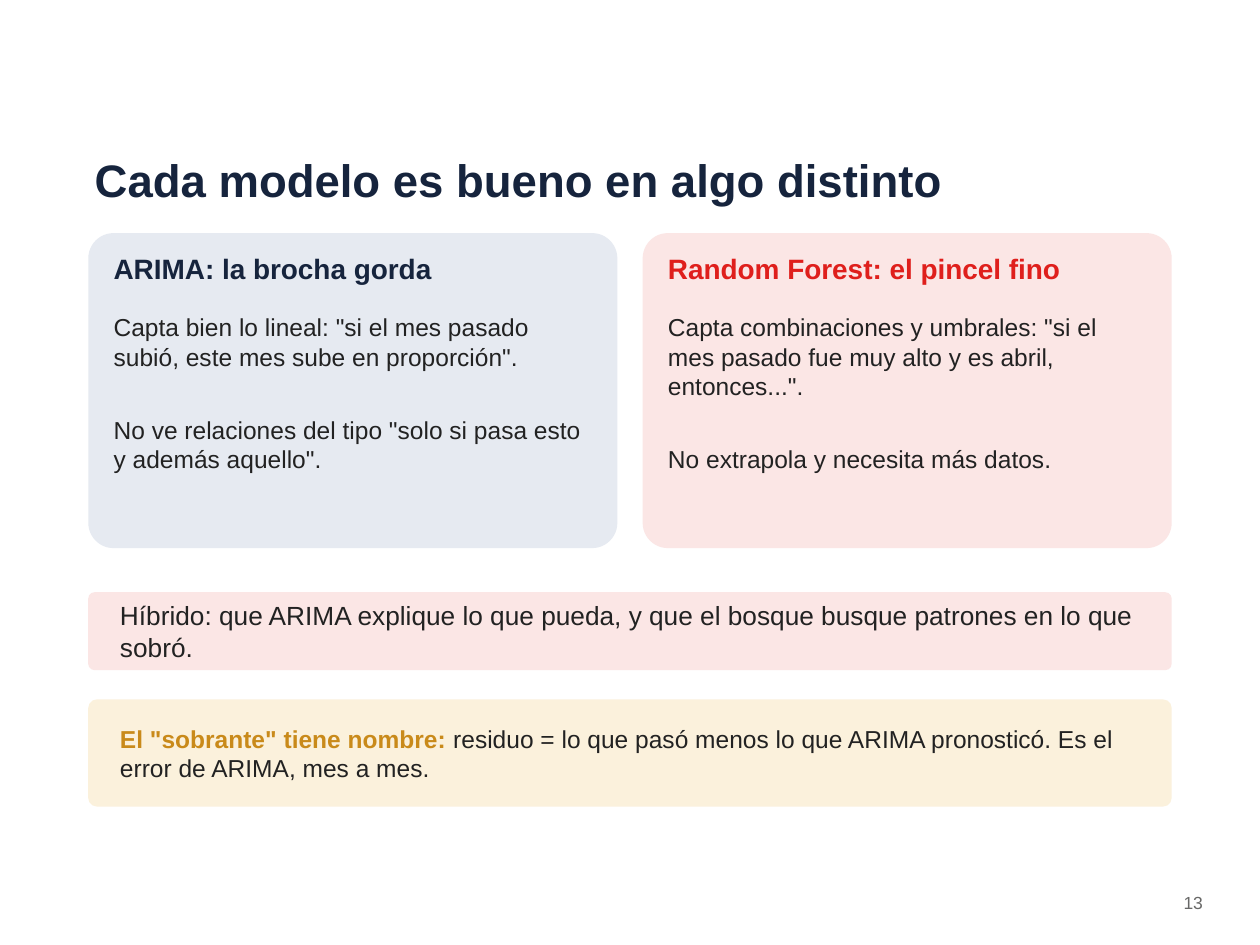
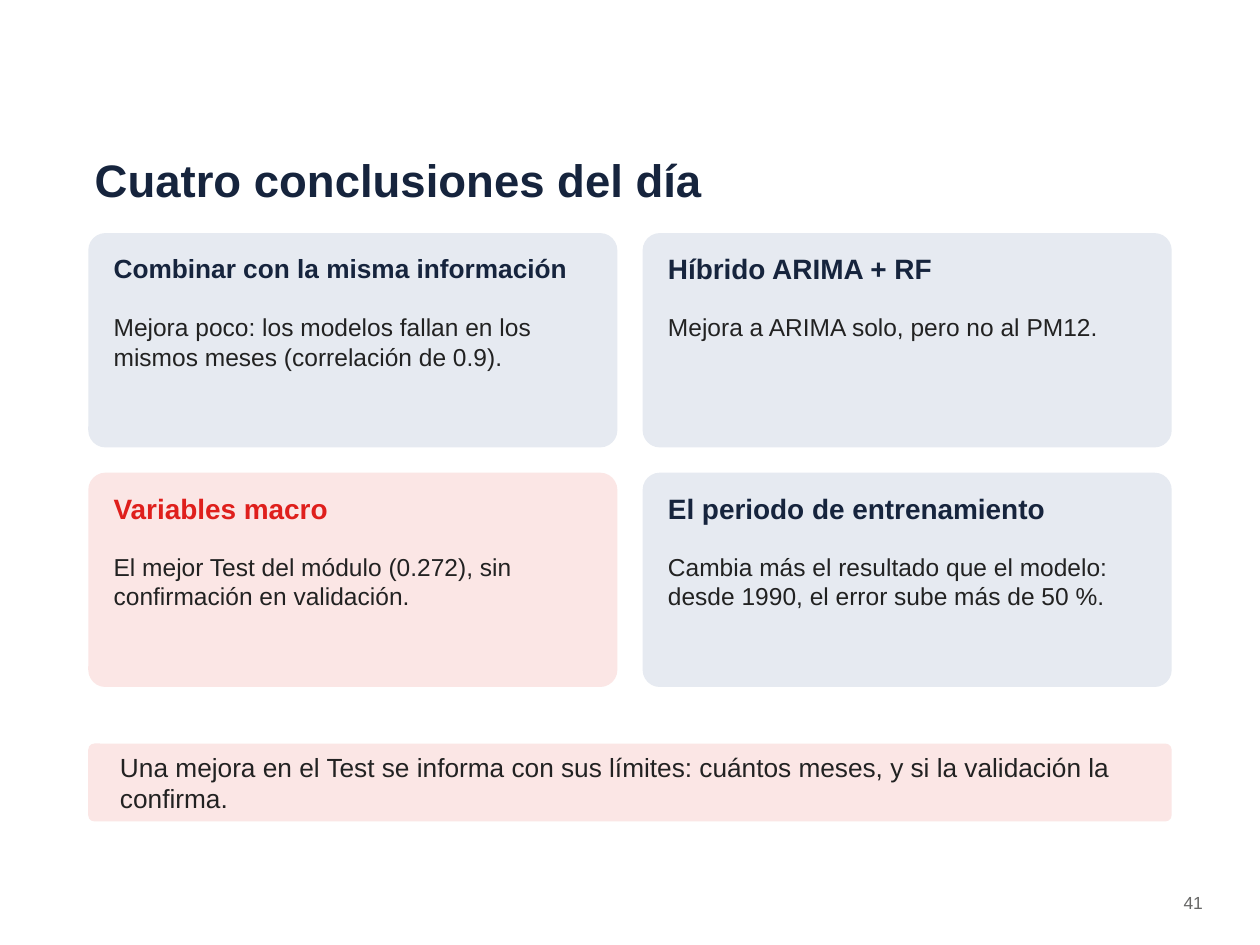
from pptx import Presentation
from pptx.dml.color import RGBColor
from pptx.enum.shapes import MSO_SHAPE
from pptx.enum.text import MSO_ANCHOR, MSO_AUTO_SIZE, PP_ALIGN
from pptx.util import Cm, Pt

FONT = "Arial"
NAVY, RED, GOLD, INK, GREY = "16243D", "DF1F1C", "C98A1A", "222222", "686867"
MIST, ROSE, CREAM = "E6EAF1", "FBE6E5", "FBF1DC"
COOL, WARM = (MIST, NAVY), (ROSE, RED)

SLIDES = [
    {
        "title": "Cada modelo es bueno en algo distinto",
        "page": "13",
        "tall": 6.35,
        "cards": [
            ("ARIMA: la brocha gorda", 16, COOL, [
                'Capta bien lo lineal: "si el mes pasado subió, este mes sube en proporción".',
                'No ve relaciones del tipo "solo si pasa esto y además aquello".',
            ]),
            ("Random Forest: el pincel fino", 16, WARM, [
                'Capta combinaciones y umbrales: "si el mes pasado fue muy alto y es abril, entonces...".',
                "No extrapola y necesita más datos.",
            ]),
        ],
        "bars": [
            (11.94, 1.57, ROSE, 15, "",
             "Híbrido: que ARIMA explique lo que pueda, y que el bosque busque patrones en lo que sobró."),
            (14.1, 2.16, CREAM, 14, 'El "sobrante" tiene nombre: ',
             "residuo = lo que pasó menos lo que ARIMA pronosticó. Es el error de ARIMA, mes a mes."),
        ],
    },
    {
        "title": "Cuatro conclusiones del día",
        "page": "41",
        "tall": 4.32,
        "cards": [
            ("Combinar con la misma información", 15, COOL, [
                "Mejora poco: los modelos fallan en los mismos meses (correlación de 0.9).",
            ]),
            ("Híbrido ARIMA + RF", 16, COOL, [
                "Mejora a ARIMA solo, pero no al PM12.",
            ]),
            ("Variables macro", 16, WARM, [
                "El mejor Test del módulo (0.272), sin confirmación en validación.",
            ]),
            ("El periodo de entrenamiento", 16, COOL, [
                "Cambia más el resultado que el modelo: desde 1990, el error sube más de 50 %.",
            ]),
        ],
        "bars": [
            (14.99, 1.57, ROSE, 15, "",
             "Una mejora en el Test se informa con sus límites: cuántos meses, y si la validación la confirma."),
        ],
    },
]

LEFT, WIDE, TOP, GAP = 1.78, 21.84, 4.7, 0.51
COLS = 2
CARD = (WIDE - GAP) / COLS
PAD, INSET = 0.38, 0.51


def color(code):
    return RGBColor.from_string(code)


def panel(slide, x, y, w, h, fill):
    shape = slide.shapes.add_shape(MSO_SHAPE.ROUNDED_RECTANGLE, Cm(x), Cm(y), Cm(w), Cm(h))
    shape.adjustments[0] = 0.08
    shape.shadow.inherit = False
    shape.fill.solid()
    shape.fill.fore_color.rgb = color(fill)
    shape.line.fill.background()


def label(slide, x, y, w, h, lines, size, ink, bold=False,
          anchor=MSO_ANCHOR.TOP, align=PP_ALIGN.LEFT, lead=""):
    frame = slide.shapes.add_textbox(Cm(x), Cm(y), Cm(w), Cm(h)).text_frame
    frame.word_wrap = True
    frame.auto_size = MSO_AUTO_SIZE.SHAPE_TO_FIT_TEXT
    frame.vertical_anchor = anchor
    frame.margin_left = frame.margin_right = Cm(0.13)
    frame.margin_top = frame.margin_bottom = Cm(0.08)
    for i, line in enumerate(lines):
        para = frame.add_paragraph() if i else frame.paragraphs[0]
        if i:
            para.space_before = Pt(21)
        para.space_after = Pt(4)
        para.alignment = align
        font = para.font
        font.name, font.size, font.bold = FONT, Pt(size), bold
        font.color.rgb = color(ink)
        if lead:
            run = para.add_run()
            run.text = lead
            run.font.bold = True
            run.font.color.rgb = color(GOLD)
        para.add_run().text = line


def card(slide, spot, tall, head, size, theme, body):
    row, col = divmod(spot, COLS)
    x, y = LEFT + col * (CARD + GAP), TOP + row * (tall + GAP)
    fill, ink = theme
    inner = CARD - 2 * PAD
    panel(slide, x, y, CARD, tall, fill)
    label(slide, x + PAD, y + 0.3, inner, 1.14, [head], size, ink, True)
    label(slide, x + PAD, y + 1.52, inner, tall - 1.78, body, 14, INK)


def bar(slide, y, tall, fill, size, lead, text):
    panel(slide, LEFT, y, WIDE, tall, fill)
    label(slide, LEFT + INSET, y, WIDE - 2 * INSET, tall, [text], size, INK,
          anchor=MSO_ANCHOR.MIDDLE, lead=lead)


def main():
    deck = Presentation()
    deck.slide_width, deck.slide_height = Cm(25.4), Cm(19.05)
    for data in SLIDES:
        slide = deck.slides.add_slide(deck.slide_layouts[6])
        label(slide, LEFT, 2.67, WIDE, 1.9, [data["title"]], 26, NAVY, True, MSO_ANCHOR.MIDDLE)
        label(slide, 22.86, 17.91, 1.52, 0.76, [data["page"]], 10, GREY, align=PP_ALIGN.RIGHT)
        for spot, item in enumerate(data["cards"]):
            card(slide, spot, data["tall"], *item)
        for item in data["bars"]:
            bar(slide, *item)
    deck.save("out.pptx")


if __name__ == "__main__":
    main()
